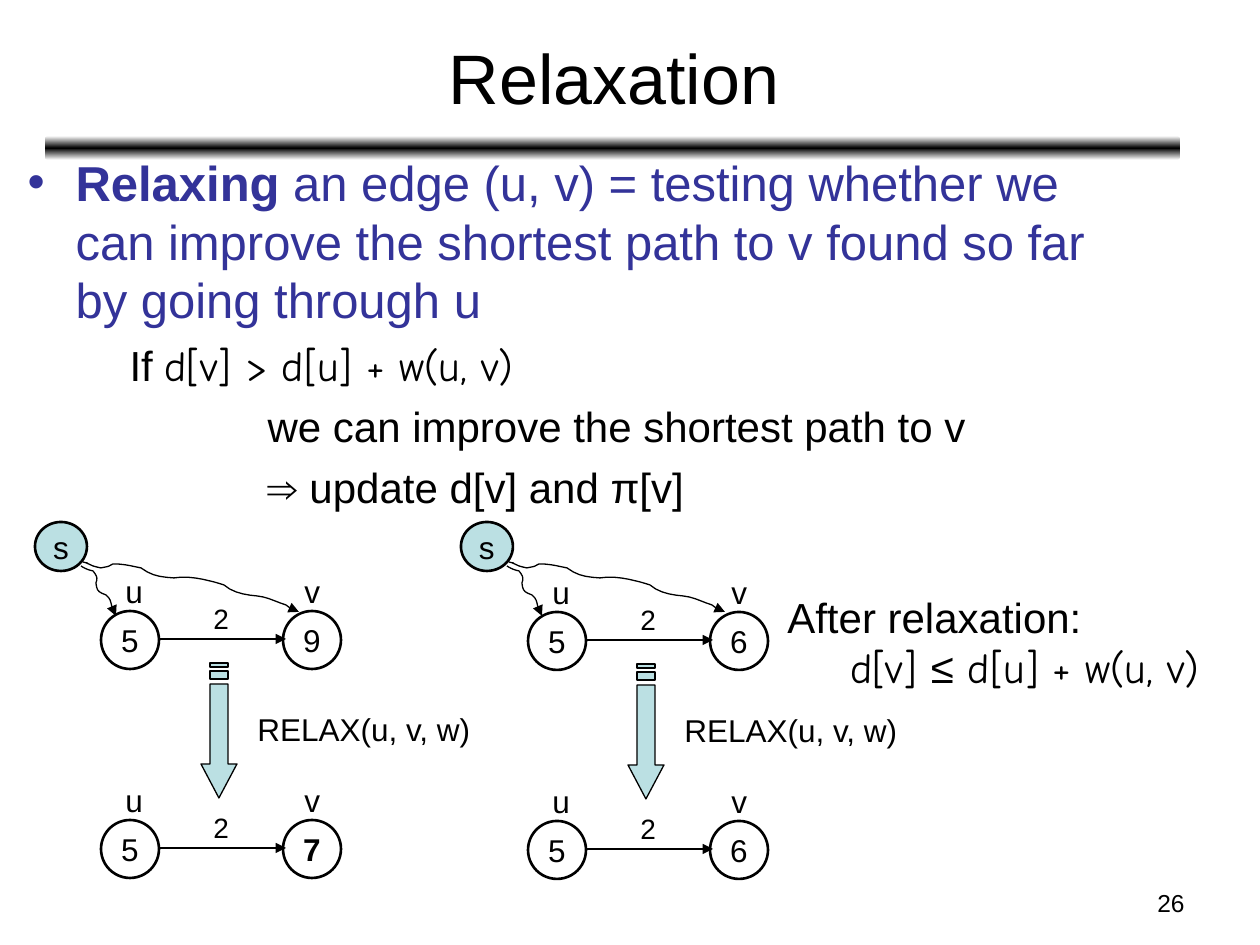
"""Build the slide that explains edge relaxation in shortest paths."""
from copy import deepcopy

from pptx import Presentation
from pptx.dml.color import RGBColor
from pptx.enum.shapes import MSO_CONNECTOR as Connector, MSO_SHAPE as Shape
from pptx.enum.text import MSO_ANCHOR as Anchor, MSO_AUTO_SIZE as AutoSize, PP_ALIGN as Align
from pptx.oxml.ns import qn
from pptx.oxml.xmlchemy import OxmlElement
from pptx.util import Emu, Pt

PX_PER_INCH = 126
BLACK = RGBColor(0, 0, 0)
WHITE = RGBColor(255, 255, 255)
INDIGO = RGBColor(0x33, 0x33, 0x99)
PALE_TEAL = RGBColor(0xBB, 0xE0, 0xE3)
SANS, COMIC = "Arial", "Comic Neue"

SHORT_PATH = [(81, 566), (84, 568, 88, 570, 93, 571), (97, 576, 98, 578, 96, 583),
              (97, 591, 98, 592, 106, 595), (112, 600, 110, 602, 113, 610),
              (115, 615, 115, 612, 116, 616)]
LONG_PATH = [(83, 562), (96, 566, 77, 559, 93, 566), (96, 567, 101, 568, 101, 568),
             (111, 566, 107, 567, 113, 564), (125, 564, 131, 566, 141, 568),
             (152, 576, 160, 577, 174, 578), (186, 576, 198, 578, 210, 581),
             (215, 582, 224, 585, 224, 585), (233, 593, 246, 595, 257, 596),
             (268, 597, 276, 602, 286, 605), (289, 607, 292, 610, 295, 611),
             (296, 611, 299, 612, 299, 612)]


def px(length):
    """Turn a length in px into EMU."""
    return Emu(round(length * 914400 / PX_PER_INCH))


def child(parent, tag, **attributes):
    """Append an XML element with attributes to its parent."""
    element = OxmlElement(tag)
    for name, value in attributes.items():
        element.set(name, str(value))
    parent.append(element)
    return element


def add_span(para, text, font=SANS, size=18, color=BLACK, bold=False):
    """Add formatted text to a paragraph."""
    span = para.add_run()
    span.text = text
    span.font.name = font
    span.font.size = Pt(size)
    span.font.bold = bold
    span.font.color.rgb = color


def format_para(para, align=Align.LEFT, before=0, margin=0, indent=0):
    """Set alignment, spacing and indents of a paragraph and return its properties."""
    para.alignment = align
    para.line_spacing = 1.0
    para.space_before = Pt(before)
    props = para._p.get_or_add_pPr()
    props.set("marL", str(px(margin)))
    props.set("indent", str(px(indent)))
    return props


def place(shape, left, top, width, height):
    """Move and resize a shape."""
    shape.left, shape.top = px(left), px(top)
    shape.width, shape.height = px(width), px(height)


def add_label(page, text, left, top, width, height, align=Align.LEFT, wrap=False, **style):
    """Add a text box holding one paragraph and return its frame."""
    frame = page.shapes.add_textbox(px(left), px(top), px(width), px(height)).text_frame
    frame.word_wrap = wrap
    format_para(frame.paragraphs[0], align)
    add_span(frame.paragraphs[0], text, **style)
    return frame


def add_node(page, text, left, top, width, height, fill=None, bold=False):
    """Add a graph node with its value."""
    node = page.shapes.add_shape(Shape.OVAL, px(left), px(top), px(width), px(height))
    node.shadow.inherit = False
    if fill is None:
        node.fill.background()
    else:
        node.fill.solid()
        node.fill.fore_color.rgb = fill
    draw_line(node, 1.5)
    frame = node.text_frame
    frame.word_wrap = False
    frame.vertical_anchor = Anchor.MIDDLE
    format_para(frame.paragraphs[0], Align.CENTER)
    add_span(frame.paragraphs[0], text, bold=bold)


def draw_line(shape, width, arrow=False):
    """Give a shape a black line, with an arrowhead if wanted."""
    shape.line.color.rgb = BLACK
    shape.line.width = Pt(width)
    if arrow:
        child(shape.line._get_or_add_ln(), "a:tailEnd", type="triangle")


def add_edge(page, left, right, y):
    """Add a straight arrow between two nodes."""
    edge = page.shapes.add_connector(Connector.STRAIGHT, px(left), px(y), px(right), px(y))
    draw_line(edge, 1.5, arrow=True)
    child(edge._element.spPr, "a:effectLst")


def add_outline(page, contours, closed):
    """Add a freeform made of point lists in px."""
    scaled = [[(px(x), px(y)) for x, y in contour] for contour in contours]
    builder = page.shapes.build_freeform(*scaled[0][0])
    for number, contour in enumerate(scaled):
        if number:
            builder.move_to(*contour[0])
        builder.add_line_segments(contour[1:], close=closed)
    outline = builder.convert_to_shape()
    outline.shadow.inherit = False
    return outline


def add_wavy_arrow(page, curve, dx):
    """Add a curved arrow from a start point and cubic segments."""
    points = [curve[0]]
    for x1, y1, x2, y2, x3, y3 in curve[1:]:
        x0, y0 = points[-1]
        for t in (0.2, 0.4, 0.6, 0.8, 1):
            a, b, c, d = (1 - t) ** 3, 3 * t * (1 - t) ** 2, 3 * t * t * (1 - t), t ** 3
            points.append((a * x0 + b * x1 + c * x2 + d * x3,
                           a * y0 + b * y1 + c * y2 + d * y3))
    arrow = add_outline(page, [[(x + dx, y) for x, y in points]], closed=False)
    arrow.fill.background()
    draw_line(arrow, 0.75, arrow=True)


def add_striped_arrow(page, x, y):
    """Add a striped arrow pointing down, centred on x."""
    def stripe(top, bottom):
        return [(x - 9, y + top), (x + 9, y + top), (x + 9, y + bottom), (x - 9, y + bottom)]
    head = [(x + 9, y + 21), (x + 9, y + 101), (x + 18, y + 101), (x, y + 135),
            (x - 18, y + 101), (x - 9, y + 101), (x - 9, y + 21)]
    arrow = add_outline(page, [head, stripe(8, 16), stripe(0, 4)], closed=True)
    arrow.fill.solid()
    arrow.fill.fore_color.rgb = PALE_TEAL
    draw_line(arrow, 0.75)


def add_edge_state(page, x, y, value, bold=False):
    """Add the nodes u and v, their edge and all labels."""
    add_node(page, "5", x, y, 58, 58)
    add_node(page, value, x + 182, y, 58, 58, bold=bold)
    add_edge(page, x + 58, x + 185, y + 28)
    add_label(page, "2", x + 100, y - 16, 40, 47, size=16)
    add_label(page, "u", x + 12, y - 45, 43, 50)
    add_label(page, "v", x + 191, y - 45, 40, 50)


def add_example(page, x, y, dx, before, after, bold=False):
    """Add one relaxation example from the state before to the state after."""
    add_edge_state(page, x, y, before)
    add_edge_state(page, x, y + 209, after, bold)
    add_striped_arrow(page, x + 118, y + 52)
    add_label(page, "RELAX(u, v, w)", x + 144, y + 93, 241, 50, wrap=True)
    add_node(page, "s", 35 + dx, 522, 52, 49, fill=PALE_TEAL)
    add_wavy_arrow(page, SHORT_PATH, dx)
    add_wavy_arrow(page, LONG_PATH, dx)


def add_rule(page):
    """Add the blurred bar below the title."""
    bar = page.shapes.add_shape(Shape.ROUNDED_RECTANGLE, px(45), px(136), px(1135), px(24))
    bar.shadow.inherit = False
    bar.line.fill.background()
    bar.fill.gradient()
    bar.fill.gradient_angle = 90
    stop_list = bar._element.spPr.find(".//" + qn("a:gsLst"))
    stop_list.append(deepcopy(stop_list[0]))
    for stop, position, color in zip(bar.fill.gradient_stops, (0, 0.5, 1), (WHITE, BLACK, WHITE)):
        stop.position = position
        stop.color.rgb = color


def fill_body(body):
    """Write the definition and the relaxation rule."""
    place(body, 15, 146, 1134, 402)
    frame = body.text_frame
    frame.auto_size = AutoSize.NONE
    para = frame.paragraphs[0]
    props = format_para(para, before=7, margin=48, indent=-48)
    child(child(props, "a:buClr"), "a:srgbClr", val=INDIGO)
    child(props, "a:buChar", char="•")
    add_span(para, "Relaxing ", size=28, color=INDIGO, bold=True)
    add_span(para, "an edge (u, v) = testing whether we can improve the shortest path "
                   "to v found so far by going through u", size=28, color=INDIGO)
    rule_lines = [(102, [("If ", SANS), ("d[v] > d[u] + w(u, v)", COMIC)]),
                  (240, [("we can improve the shortest path to v", SANS)]),
                  (240, [("⇒ update d[v] and π[v]", SANS)])]
    for margin, spans in rule_lines:
        para = frame.add_paragraph()
        para.level = 1
        child(format_para(para, before=6, margin=margin), "a:buNone")
        for text, font in spans:
            add_span(para, text, font=font, size=24)


def add_conclusion(page):
    """Add the inequality that holds after relaxation."""
    frame = add_label(page, "After relaxation:", 775, 585, 467, 113, wrap=True, size=24)
    para = frame.add_paragraph()
    format_para(para, margin=63)
    for text, font in (("d[v] ", COMIC), ("≤", SANS), (" d[u] + w(u, v)", COMIC)):
        add_span(para, text, font=font, size=24)


def main():
    """Build and save the deck."""
    deck = Presentation()
    deck.slide_width, deck.slide_height = px(1260), px(945)
    page = deck.slides.add_slide(deck.slide_layouts[1])
    add_rule(page)
    title, body = page.placeholders
    place(title, 47, 14, 1134, 125)
    title.text_frame.vertical_anchor = Anchor.MIDDLE
    format_para(title.text_frame.paragraphs[0], Align.CENTER)
    add_span(title.text_frame.paragraphs[0], "Relaxation", size=40)
    fill_body(body)
    add_example(page, 101, 611, 0, "9", "7", bold=True)
    add_example(page, 528, 612, 426, "6", "6")
    add_conclusion(page)
    add_label(page, "26", 903, 882, 294, 44, align=Align.RIGHT, wrap=True, size=14)
    deck.save("out.pptx")


if __name__ == "__main__":
    main()
